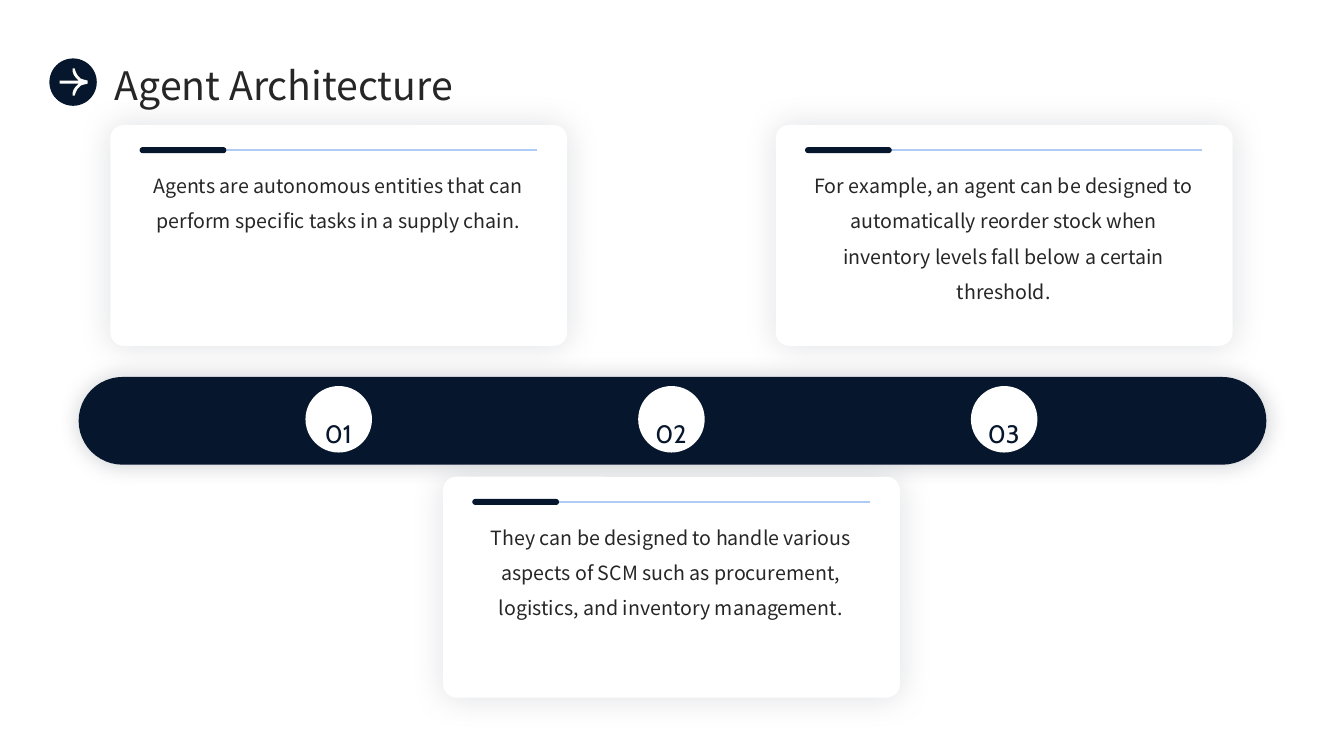
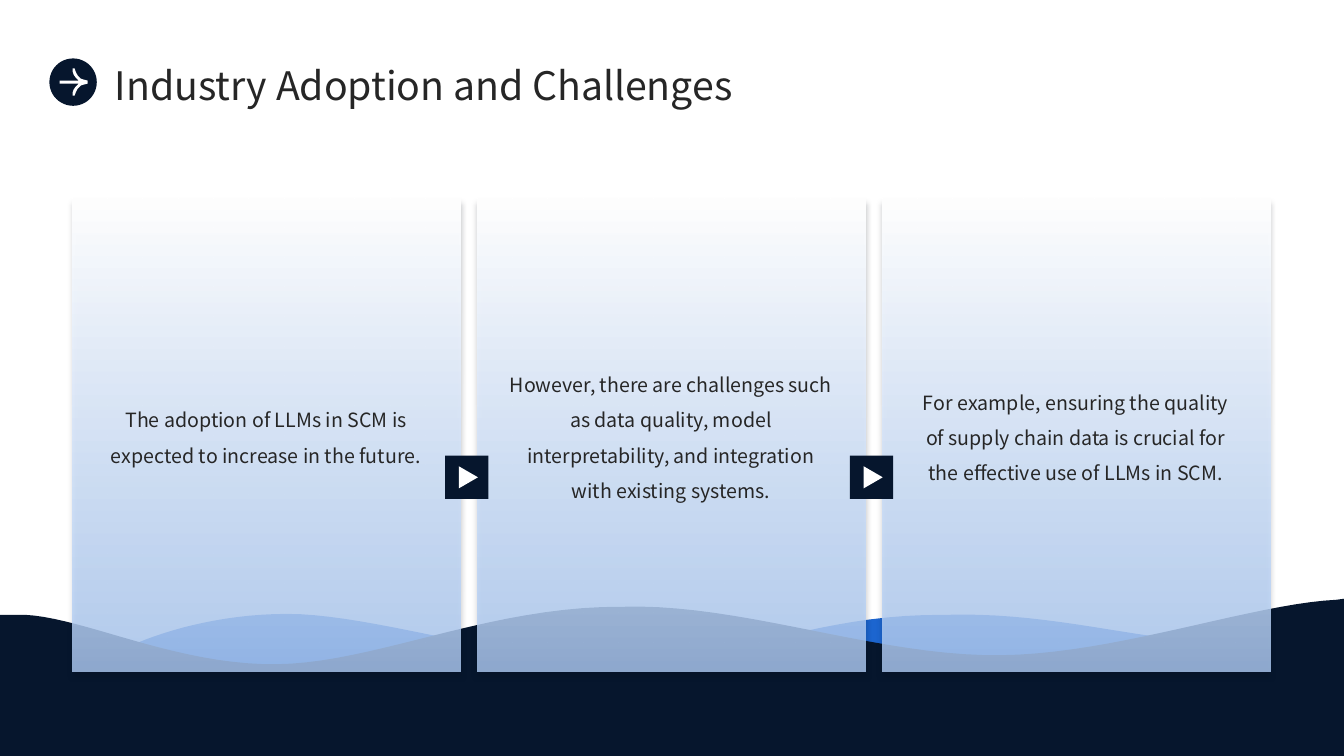
from itertools import pairwise

from lxml.etree import SubElement
from pptx import Presentation
from pptx.dml.color import RGBColor
from pptx.enum.shapes import MSO_CONNECTOR, MSO_SHAPE
from pptx.enum.text import MSO_ANCHOR, PP_ALIGN
from pptx.oxml.ns import qn
from pptx.util import Inches, Pt

# Shared look
NAVY = RGBColor(0x06, 0x16, 0x2D)
BLUE = RGBColor(0x1C, 0x65, 0xCF)
PALE_BLUE = RGBColor(0xAE, 0xCB, 0xF4)
WHITE = RGBColor(0xFF, 0xFF, 0xFF)
INK = RGBColor(0x26, 0x26, 0x26)
BAR_SHADOW = RGBColor(0x04, 0x10, 0x22)
PANEL_SHADOW = RGBColor(0x03, 0x0B, 0x16)
BODY_FONT = "Noto Sans CJK SC"
NUMBER_FONT = "Cabin"
SLIDE_WIDTH, SLIDE_HEIGHT = 13.33, 7.5

# Timeline grid: card centres are spread evenly about the middle column
TIMELINE_CENTER, TIMELINE_PITCH = 6.66, 3.3
CARD_WIDTH, CARD_HEIGHT, CARD_INSET = 4.53, 2.19, 0.29
CARD_TOP_ROW, CARD_BOTTOM_ROW = 1.24, 4.73
DOT_SIZE = 0.66

# Panel grid: three columns between two margins
PANEL_LEFT, PANEL_RIGHT, PANEL_WIDTH = 0.72, 12.6, 3.85
PANEL_PITCH = (PANEL_RIGHT - PANEL_LEFT - PANEL_WIDTH) / 2

# Title arrow: upper half of the outline, mirrored below the axis
ARROW_AXIS = 0.815
ARROW_UPPER = [
    (0.59, 0.8), (0.78, 0.8), (0.75, 0.77), (0.73, 0.74), (0.72, 0.71), (0.72, 0.68),
    (0.74, 0.68), (0.75, 0.71), (0.77, 0.75), (0.8, 0.78), (0.83, 0.79), (0.87, 0.8),
]

# Waves: each curve is a start point followed by triples of control, control, end
BLUE_WAVE_TOP = [
    (2.85, 6.09), (3.71, 6.09), (5.09, 6.57), (6.17, 6.57), (7.26, 6.57), (8.05, 6.09),
    (9.36, 6.1), (10.55, 6.06), (11.43, 6.42), (12.54, 6.39), (12.68, 6.39),
    (12.83, 6.38), (12.98, 6.36),
]
BLUE_WAVE_SIDE = [
    (1.26, 7.41), (1.31, 7.3), (1.42, 7.26), (1.38, 7.12), (1.34, 6.97), (0.77, 6.73),
    (1.02, 6.56), (1.26, 6.38), (1.99, 6.09), (2.85, 6.09),
]
NAVY_WAVE_TOP = [
    (0.05, 6.1), (0.11, 6.1), (0.18, 6.1), (0.25, 6.1), (0.84, 6.13), (1.75, 6.6),
    (2.74, 6.59), (3.72, 6.58), (4.86, 6.01), (6.17, 6.02), (7.36, 5.98), (8.72, 6.52),
    (9.93, 6.5), (11.06, 6.49), (12.42, 5.99), (13.26, 5.95),
]

# Content
TIMELINE_CARDS = [
    ("Agents are autonomous entities that can perform specific tasks in a supply chain.",
     CARD_TOP_ROW),
    ("They can be designed to handle various aspects of SCM such as procurement, "
     "logistics, and inventory management.", CARD_BOTTOM_ROW),
    ("For example, an agent can be designed to automatically reorder stock when "
     "inventory levels fall below a certain threshold.", CARD_TOP_ROW),
]
PANEL_TEXTS = [
    "The adoption of LLMs in SCM is expected to increase in the future.",
    "However, there are challenges such as data quality, model interpretability, "
    "and integration with existing systems.",
    "For example, ensuring the quality of supply chain data is crucial for the "
    "effective use of LLMs in SCM.",
]


def set_alpha(color_element, percent):
    SubElement(color_element, qn("a:alpha"), val=str(percent * 1000))


def add_shadow(shape, color, percent, blur, distance=0, angle=0):
    effects = shape.element.spPr.find(qn("a:effectLst"))
    shadow = SubElement(effects, qn("a:outerShdw"), blurRad=str(Pt(blur)),
                        dist=str(Pt(distance)), dir=str(angle * 60000),
                        algn="ctr", rotWithShape="0")
    set_alpha(SubElement(shadow, qn("a:srgbClr"), val=str(color)), percent)


def paint(shape, color):
    shape.fill.solid()
    shape.fill.fore_color.rgb = color
    shape.line.fill.background()
    shape.shadow.inherit = False


def add_box(slide, kind, left, top, width, height, color, corner=None):
    shape = slide.shapes.add_shape(
        kind, Inches(left), Inches(top), Inches(width), Inches(height))
    paint(shape, color)
    if corner is not None:
        shape.adjustments[0] = corner
    return shape


def add_outline(slide, points, color):
    start, *rest = [(Inches(x), Inches(y)) for x, y in points]
    builder = slide.shapes.build_freeform(*start)
    builder.add_line_segments(rest, close=True)
    paint(builder.convert_to_shape(), color)


def add_text(slide, text, left, top, width, height, size=14, font=BODY_FONT, color=INK,
             align=PP_ALIGN.CENTER, anchor=MSO_ANCHOR.TOP, spacing=1.5):
    frame = slide.shapes.add_textbox(
        Inches(left), Inches(top), Inches(width), Inches(height)).text_frame
    frame.word_wrap = True
    frame.vertical_anchor = anchor
    frame.margin_left = frame.margin_right = frame.margin_top = frame.margin_bottom = 0
    paragraph = frame.paragraphs[0]
    paragraph.alignment = align
    paragraph.line_spacing = spacing
    run = paragraph.add_run()
    run.text = text
    run.font.name = font
    run.font.size = Pt(size)
    run.font.color.rgb = color


def add_rule(slide, left, right, y):
    connector = slide.shapes.add_connector(
        MSO_CONNECTOR.STRAIGHT, Inches(left), Inches(y), Inches(right), Inches(y))
    connector.line.color.rgb = PALE_BLUE
    connector.line.width = Pt(1.5)
    SubElement(connector.element.spPr, qn("a:effectLst"))


def curve_points(controls, steps=20):
    """Sample a chain of cubic curves."""
    points = [controls[0]]
    for first, last in pairwise(range(0, len(controls), 3)):
        segment = controls[first:last + 1]
        for step in range(1, steps + 1):
            t = step / steps
            weights = ((1 - t) ** 3, 3 * t * (1 - t) ** 2, 3 * t ** 2 * (1 - t), t ** 3)
            points.append(tuple(
                sum(weight * point[axis] for weight, point in zip(weights, segment))
                for axis in (0, 1)))
    return points


def add_title(slide, text):
    add_text(slide, text, 1.14, 0.58, 11.45, 0.47, size=28, align=PP_ALIGN.LEFT,
             anchor=MSO_ANCHOR.MIDDLE, spacing=1.1)
    add_box(slide, MSO_SHAPE.OVAL, 0.49, 0.58, 0.47, 0.47, NAVY)
    lower = [(x, 2 * ARROW_AXIS - y) for x, y in reversed(ARROW_UPPER)]
    add_outline(slide, ARROW_UPPER + lower, WHITE)


def add_timeline_card(slide, center, top, text):
    left = center - CARD_WIDTH / 2
    inner = left + CARD_INSET
    card = add_box(slide, MSO_SHAPE.ROUNDED_RECTANGLE, left, top,
                   CARD_WIDTH, CARD_HEIGHT, WHITE, corner=0.06)
    add_shadow(card, NAVY, 13, blur=24)
    add_text(slide, text, inner, top + 0.37, 3.94, 1.66)
    add_rule(slide, inner, inner + 3.94, top + 0.25)
    add_box(slide, MSO_SHAPE.ROUNDED_RECTANGLE, inner, top + 0.22, 0.86, 0.06, NAVY,
            corner=0.5)


def add_panel(slide, left, text):
    panel = add_box(slide, MSO_SHAPE.RECTANGLE, left, 1.97, PANEL_WIDTH, 4.69, WHITE)
    panel.fill.gradient()
    panel.fill.gradient_angle = 270
    for stop, color in zip(panel.fill.gradient_stops, (WHITE, PALE_BLUE)):
        stop.color.rgb = color
    stop_colors = list(panel.element.spPr.iter(qn("a:srgbClr")))
    set_alpha(stop_colors[-1], 82)
    add_shadow(panel, PANEL_SHADOW, 25, blur=4, distance=3, angle=90)
    add_text(slide, text, left + 0.32, 2.15, 3.2, 4.27, anchor=MSO_ANCHOR.MIDDLE)


def add_step_marker(slide, panel_left):
    add_box(slide, MSO_SHAPE.RECTANGLE, panel_left - 0.32, 4.52, 0.43, 0.43, NAVY)
    triangle = add_box(slide, MSO_SHAPE.ISOSCELES_TRIANGLE, panel_left - 0.2, 4.64,
                       0.22, 0.19, WHITE)
    triangle.rotation = 90


def build_architecture(slide):
    bar = add_box(slide, MSO_SHAPE.ROUNDED_RECTANGLE, 0.78, 3.74, 11.78, 0.87, NAVY,
                  corner=0.5)
    add_shadow(bar, BAR_SHADOW, 20, blur=15)
    for index, (text, top) in enumerate(TIMELINE_CARDS):
        center = TIMELINE_CENTER + (index - 1) * TIMELINE_PITCH
        add_box(slide, MSO_SHAPE.OVAL, center - DOT_SIZE / 2, 3.83, DOT_SIZE, DOT_SIZE,
                WHITE)
        add_timeline_card(slide, center, top, text)
        add_text(slide, f"{index + 1:02}", center - 0.39, 4, 0.77, 0.33, size=18,
                 font=NUMBER_FONT, color=NAVY)
    add_title(slide, "Agent Architecture")


def build_adoption(slide):
    # Waves along the bottom edge
    corner = (SLIDE_WIDTH, SLIDE_HEIGHT)
    add_outline(slide, curve_points(BLUE_WAVE_TOP)
                + [(SLIDE_WIDTH, 6.32), corner, (1.22, SLIDE_HEIGHT)]
                + curve_points(BLUE_WAVE_SIDE), BLUE)
    add_outline(slide, [(0, SLIDE_HEIGHT), (0, 6.1)] + curve_points(NAVY_WAVE_TOP)
                + [(SLIDE_WIDTH, 5.94), corner], NAVY)
    # Panels, then the markers over the gaps between them
    lefts = [PANEL_LEFT + index * PANEL_PITCH for index in range(len(PANEL_TEXTS))]
    for left, text in zip(lefts, PANEL_TEXTS):
        add_panel(slide, left, text)
    for left in lefts[1:]:
        add_step_marker(slide, left)
    add_title(slide, "Industry Adoption and Challenges")


def main():
    presentation = Presentation()
    presentation.slide_width = Inches(SLIDE_WIDTH)
    presentation.slide_height = Inches(SLIDE_HEIGHT)
    blank = presentation.slide_layouts[6]
    for build in (build_architecture, build_adoption):
        build(presentation.slides.add_slide(blank))
    presentation.save("out.pptx")


if __name__ == "__main__":
    main()
